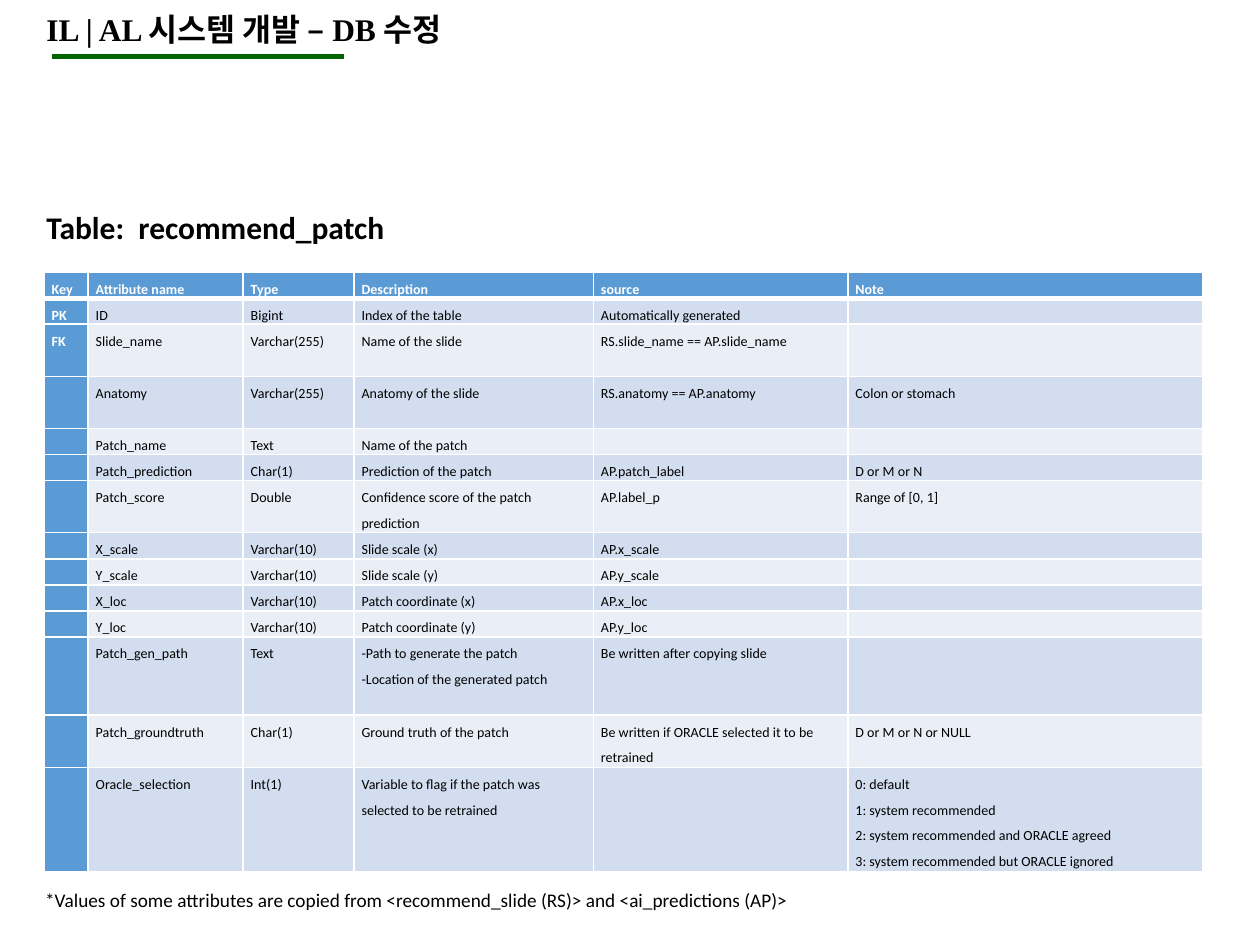
from lxml import etree
from pptx import Presentation
from pptx.dml.color import RGBColor
from pptx.enum.shapes import MSO_CONNECTOR
from pptx.enum.text import MSO_AUTO_SIZE
from pptx.oxml.ns import qn
from pptx.util import Inches, Pt

STRAIGHT = MSO_CONNECTOR.STRAIGHT
GROW = MSO_AUTO_SIZE.SHAPE_TO_FIT_TEXT
COLORS = {
    "text": "000000",
    "white": "FFFFFF",
    "accent": "5B9BD5",
    "dark_band": "D2DEEF",
    "light_band": "EAEFF7",
    "rule": "006600",
}
COLUMN_WIDTHS = [0.35, 1.23, 0.88, 1.9, 2.02, 2.82]
ROW_LINES = [1, 1, 2, 2, 1, 1, 2, 1, 1, 1, 1, 3, 2, 4]
ROWS = [
    ["Key", "Attribute name", "Type", "Description", "source", "Note"],
    ["PK", "ID", "Bigint", "Index of the table", "Automatically generated", ""],
    ["FK", "Slide_name", "Varchar(255)", "Name of the slide",
     "RS.slide_name == AP.slide_name", ""],
    ["", "Anatomy", "Varchar(255)", "Anatomy of the slide",
     "RS.anatomy == AP.anatomy", "Colon or stomach"],
    ["", "Patch_name", "Text", "Name of the patch", "", ""],
    ["", "Patch_prediction", "Char(1)", "Prediction of the patch",
     "AP.patch_label", "D or M or N"],
    ["", "Patch_score", "Double", "Confidence score of the patch prediction",
     "AP.label_p", "Range of [0, 1]"],
    ["", "X_scale", "Varchar(10)", "Slide scale (x)", "AP.x_scale", ""],
    ["", "Y_scale", "Varchar(10)", "Slide scale (y)", "AP.y_scale", ""],
    ["", "X_loc", "Varchar(10)", "Patch coordinate (x)", "AP.x_loc", ""],
    ["", "Y_loc", "Varchar(10)", "Patch coordinate (y)", "AP.y_loc", ""],
    ["", "Patch_gen_path", "Text",
     "-Path to generate the patch\v-Location of the generated patch",
     "Be written after copying slide", ""],
    ["", "Patch_groundtruth", "Char(1)", "Ground truth of the patch",
     "Be written if ORACLE selected it to be retrained", "D or M or N or NULL"],
    ["", "Oracle_selection", "Int(1)",
     "Variable to flag if the patch was selected to be retrained", "",
     "0: default\n1: system recommended\n"
     "2: system recommended and ORACLE agreed\n"
     "3: system recommended but ORACLE ignored"],
]


def color(name):
    return RGBColor.from_string(COLORS[name])


def add_span(para, text, size, font="Calibri", bold=False, ink="text"):
    span = para.add_run()
    span.text = text
    span.font.name = font
    span.font.size = Pt(size)
    span.font.bold = bold
    span.font.color.rgb = color(ink)


def add_label(page, box, text, size, font="Calibri", bold=False, wrap=True):
    label = page.shapes.add_textbox(*map(Inches, box))
    frame = label.text_frame
    frame.word_wrap = wrap
    frame.auto_size = GROW
    add_span(frame.paragraphs[0], text, size, font, bold)


def add_header(page, box):
    left, top, width, height = box
    rule = page.shapes.add_connector(
        STRAIGHT, Inches(left + 0.14), Inches(top + 0.42),
        Inches(left + 2.46), Inches(top + 0.42))
    rule.line.color.rgb = color("rule")
    rule.line.width = Pt(3)
    etree.SubElement(rule._element.spPr, qn("a:effectLst"))
    add_label(page, box, "IL | AL 시스템 개발 – DB 수정", 18, "Times New Roman", True)


def set_borders(cell, top, bottom):
    properties = cell._tc.get_or_add_tcPr()
    for side, points in (("L", 1), ("R", 1), ("T", top), ("B", bottom)):
        line = etree.SubElement(properties, qn(f"a:ln{side}"), w=str(Pt(points)))
        fill = etree.SubElement(line, qn("a:solidFill"))
        etree.SubElement(fill, qn("a:srgbClr"), val=COLORS["white"])


def fill_text(cell, text, bold, ink):
    frame = cell.text_frame
    for index, paragraph_text in enumerate(text.split("\n")):
        para = frame.paragraphs[0] if index == 0 else frame.add_paragraph()
        para.line_spacing = 1.5
        for part_index, part in enumerate(paragraph_text.split("\v")):
            if part_index:
                para.add_line_break()
            if part:
                add_span(para, part, 8, bold=bold, ink=ink)
        if not paragraph_text:
            etree.SubElement(para._p, qn("a:endParaRPr"), sz="800")


def add_schema_table(page, box):
    frame = page.shapes.add_table(len(ROWS), len(COLUMN_WIDTHS), *map(Inches, box))
    table = frame.table
    line_height = box[3] / sum(ROW_LINES)
    for column, width in zip(table.columns, COLUMN_WIDTHS):
        column.width = Inches(width)
    for row_index, (row, lines, values) in enumerate(zip(table.rows, ROW_LINES, ROWS)):
        row.height = Inches(line_height * lines)
        band = "dark_band" if row_index % 2 else "light_band"
        for column_index, (cell, text) in enumerate(zip(row.cells, values)):
            heading = row_index == 0 or column_index == 0
            cell.margin_left = cell.margin_right = Inches(0.06)
            cell.margin_top = cell.margin_bottom = 0
            set_borders(cell, 3 if row_index == 1 else 1, 3 if row_index == 0 else 1)
            cell.fill.solid()
            cell.fill.fore_color.rgb = color("accent" if heading else band)
            fill_text(cell, text, heading, "white" if heading else "text")


def main():
    deck = Presentation()
    deck.slide_width = Inches(10)
    deck.slide_height = Inches(7.5)
    page = deck.slides.add_slide(deck.slide_layouts[6])
    add_schema_table(page, (0.35, 2.16, 9.2, 4.76))
    add_label(page, (0.26, 7, 7.19, 0.29),
              "*Values of some attributes are copied from "
              "<recommend_slide (RS)> and <ai_predictions (AP)>", 11)
    add_label(page, (0.27, 1.6, 2.96, 0.4), "Table:  recommend_patch", 18,
              bold=True, wrap=False)
    add_header(page, (0.27, 0.03, 6.96, 0.4))
    deck.save("out.pptx")


if __name__ == "__main__":
    main()
